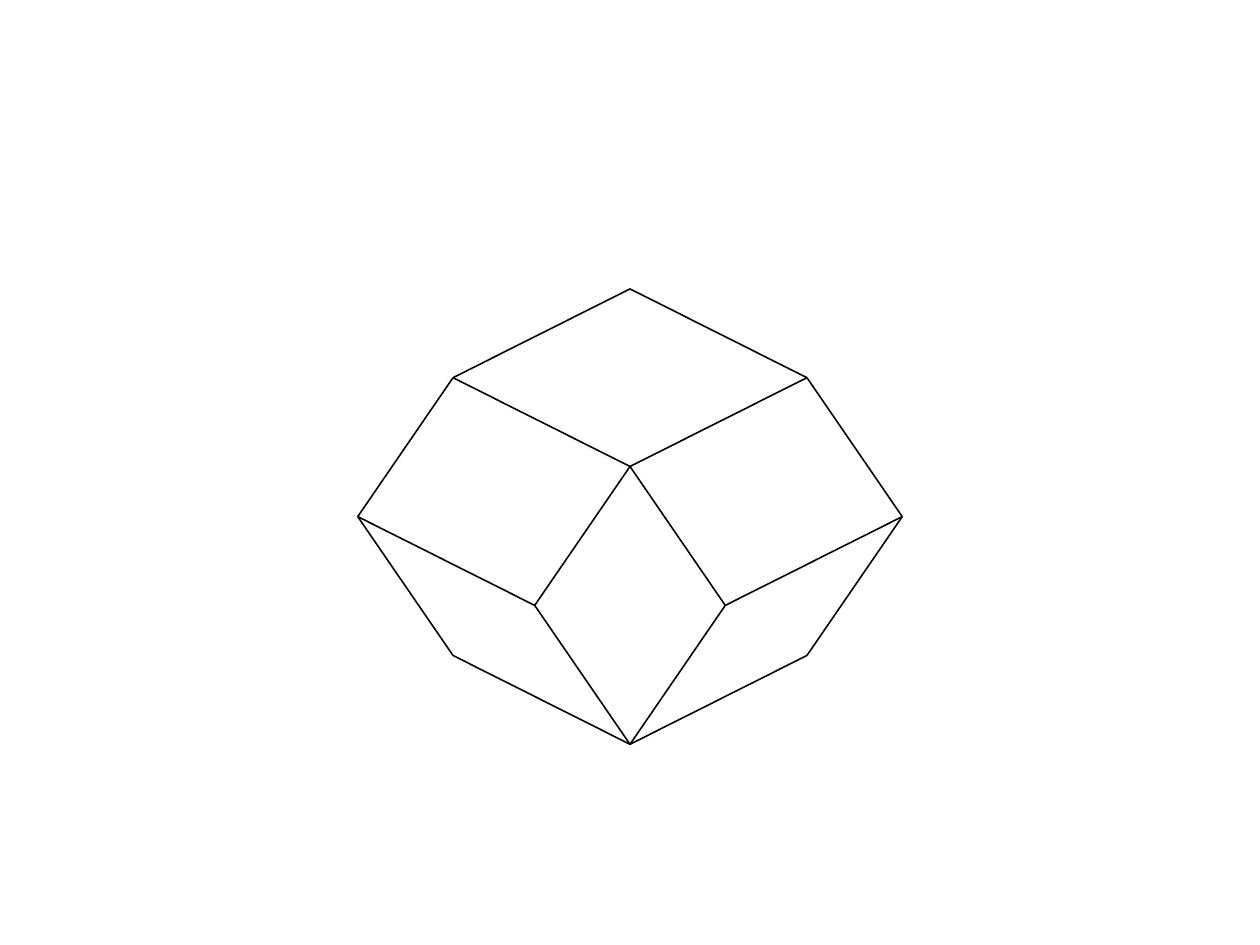
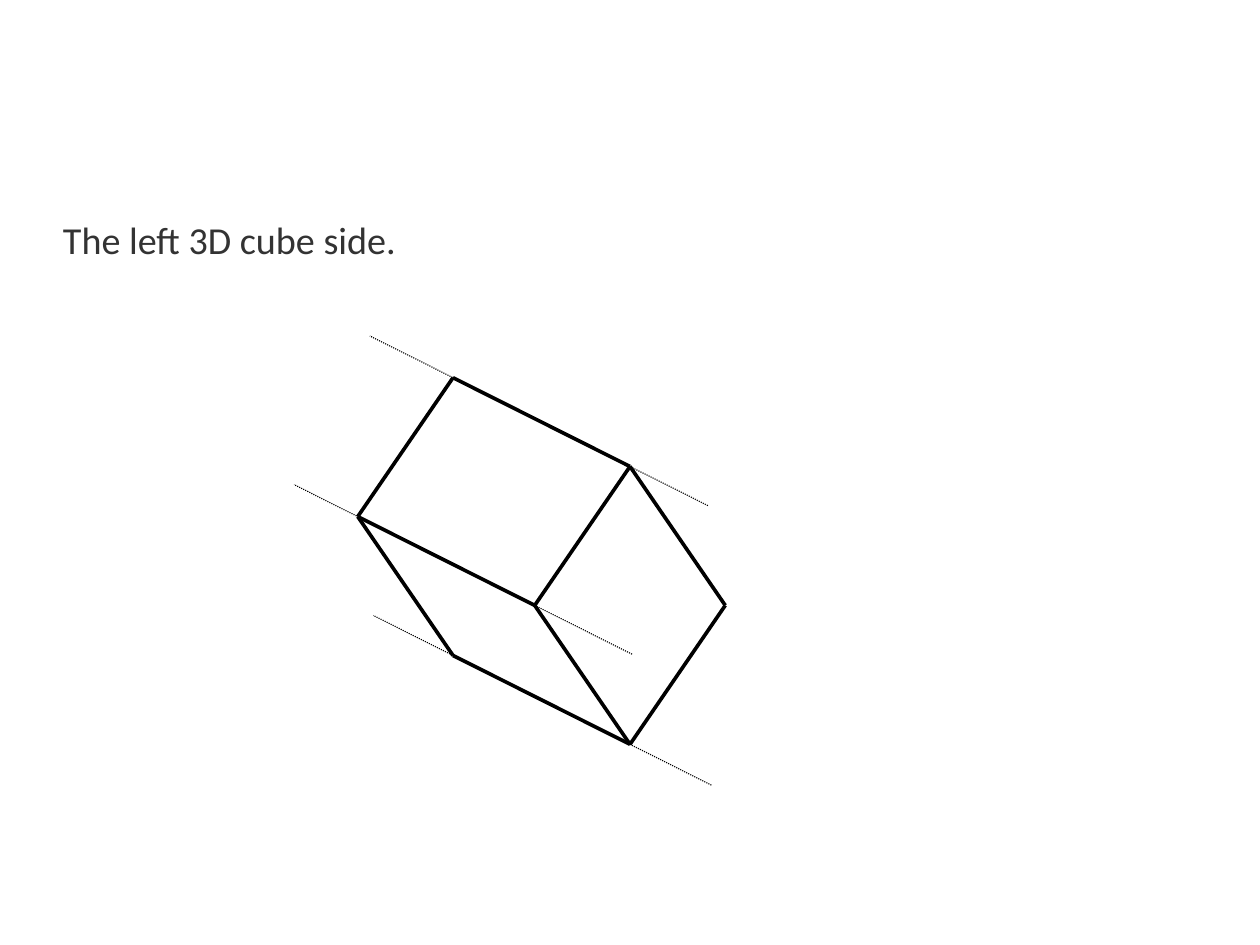
import pptx
import pptx.dml.color
import pptx.enum.dml
import pptx.enum.shapes
import pptx.enum.text
import pptx.oxml.ns
import pptx.util
from lxml import etree

THEME = {
    "ink": pptx.dml.color.RGBColor(0, 0, 0),
    "text": pptx.dml.color.RGBColor(0x33, 0x33, 0x33),
    "paper": pptx.dml.color.RGBColor(0xFF, 0xFF, 0xFF),
    "font": "Calibri",
    "size": 24,
    "thin": 1,
    "bold": 2.3,
    "guide": 0.71,
}
COLUMNS, ROWS = 28, 21
CELL = pptx.util.Cm(1)
SOLID_BOX = (7.95, 6.42, 12.1, 10.12)
CAPTION_BOX = (1.4, 4.92, 25.2, 13.87)

LONG_X, LONG_Y = 13 / 40, 39 / 200
STEEP_X, STEEP_Y = 7 / 40, 61 / 200
UPPER, MIDDLE = 2 * LONG_Y, LONG_Y + STEEP_Y
VERTICES = {
    "top": (0.5, 0),
    "left shoulder": (STEEP_X, LONG_Y),
    "right shoulder": (1 - STEEP_X, LONG_Y),
    "centre": (0.5, UPPER),
    "left tip": (0, MIDDLE),
    "right tip": (1, MIDDLE),
    "left inner": (LONG_X, UPPER + STEEP_Y),
    "right inner": (1 - LONG_X, UPPER + STEEP_Y),
    "left foot": (STEEP_X, MIDDLE + STEEP_Y),
    "right foot": (1 - STEEP_X, MIDDLE + STEEP_Y),
    "bottom": (0.5, 1),
}
LEFT_SIDE = [
    ("left foot", "bottom"),
    ("left inner", "bottom"),
    ("bottom", "right inner"),
    ("left tip", "left inner"),
    ("left tip", "left foot"),
    ("left inner", "centre"),
    ("centre", "right inner"),
    ("left tip", "left shoulder"),
    ("left shoulder", "centre"),
]
REMAINDER = [
    ("bottom", "right foot"),
    ("right inner", "right tip"),
    ("right foot", "right tip"),
    ("right shoulder", "right tip"),
    ("centre", "right shoulder"),
    ("left shoulder", "top"),
    ("top", "right shoulder"),
]
GUIDE_LENGTH = 1.91
GUIDES = [("left tip", 0.36), ("left shoulder", 0.47), ("left foot", 0.45)]


def to_length(cells):
    """Turn a number of grid cells into a length."""
    return round(cells * CELL)


def draw_line(slide, box, start, end, width, dash=None):
    """Draw a line between two points given as shares of the box."""
    left, top, wide, high = box
    ends = [to_length(value) for x, y in (start, end)
            for value in (left + x * wide, top + y * high)]
    line = slide.shapes.add_connector(pptx.enum.shapes.MSO_CONNECTOR.STRAIGHT, *ends)
    line.line.color.rgb = THEME["ink"]
    for name, value in {"width": pptx.util.Pt(width), "dash_style": dash}.items():
        setattr(line.line, name, value)
    etree.SubElement(line._element.spPr, pptx.oxml.ns.qn("a:effectLst"))


def draw_edges(slide, box, edges, width):
    """Join the named vertices inside the box."""
    for start, end in edges:
        draw_line(slide, box, VERTICES[start], VERTICES[end], width)


def draw_guides(slide, box):
    """Extend the long edges of the left side with dotted lines."""
    for vertex, overhang in GUIDES:
        x, y = VERTICES[vertex]
        start, end = [(x + reach * LONG_X, y + reach * LONG_Y)
                      for reach in (-overhang, GUIDE_LENGTH - overhang)]
        draw_line(slide, box, end, start, THEME["guide"],
                  pptx.enum.dml.MSO_LINE_DASH_STYLE.ROUND_DOT)


def add_caption(slide, box, wording):
    """Place the caption text at the top of the box."""
    frame = slide.shapes.add_textbox(*map(to_length, box)).text_frame
    layout = {"word_wrap": True, "vertical_anchor": pptx.enum.text.MSO_ANCHOR.TOP,
              "margin_left": 0, "margin_top": 0, "margin_right": 0, "margin_bottom": 0}
    for name, value in layout.items():
        setattr(frame, name, value)
    caption = frame.paragraphs[0]
    caption.text = wording
    caption.line_spacing = 0.9
    caption.space_after = pptx.util.Pt(14.1)
    caption.font.color.rgb = THEME["text"]
    for name, value in {"name": THEME["font"], "size": pptx.util.Pt(THEME["size"])}.items():
        setattr(caption.font, name, value)


def build_whole_solid(slide):
    """Show every visible edge of the solid."""
    draw_edges(slide, SOLID_BOX, LEFT_SIDE + REMAINDER, THEME["thin"])


def build_left_side(slide):
    """Show the left cube side with its caption and guides."""
    draw_edges(slide, SOLID_BOX, LEFT_SIDE, THEME["bold"])
    add_caption(slide, CAPTION_BOX, "The left 3D cube side.")
    draw_guides(slide, SOLID_BOX)


def main():
    """Build and save the presentation."""
    deck = pptx.Presentation()
    deck.slide_width = to_length(COLUMNS)
    deck.slide_height = to_length(ROWS)
    for build in (build_whole_solid, build_left_side):
        slide = deck.slides.add_slide(deck.slide_layouts[6])
        slide.background.fill.solid()
        slide.background.fill.fore_color.rgb = THEME["paper"]
        build(slide)
    deck.save("out.pptx")


if __name__ == "__main__":
    main()
